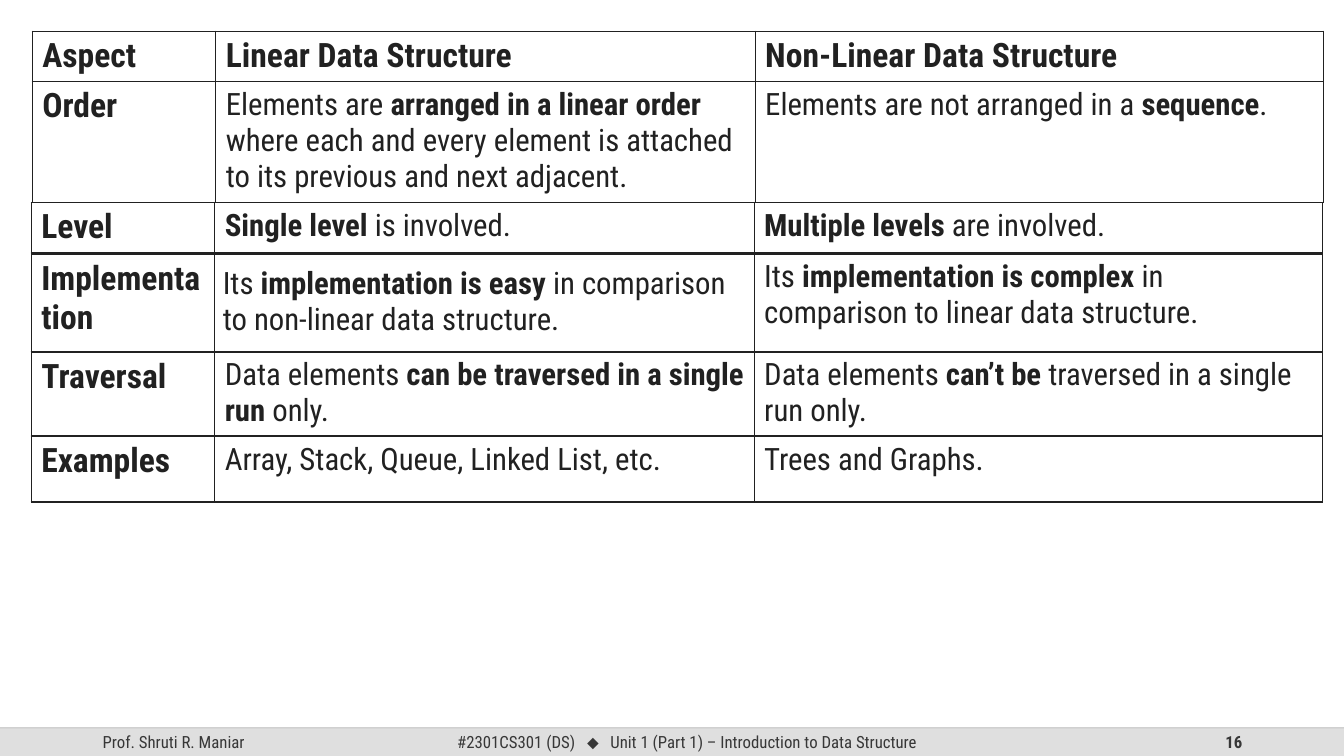
from dataclasses import dataclass

from lxml import etree
from pptx import Presentation
from pptx.dml.color import RGBColor
from pptx.enum.shapes import MSO_CONNECTOR, MSO_SHAPE
from pptx.enum.text import MSO_ANCHOR, PP_ALIGN
from pptx.oxml import parse_xml
from pptx.oxml.ns import nsdecls, qn
from pptx.util import Inches, Pt

LINE = MSO_CONNECTOR.STRAIGHT
RECT = MSO_SHAPE.RECTANGLE
MIDDLE = MSO_ANCHOR.MIDDLE
LEFT, CENTER, RIGHT = PP_ALIGN.LEFT, PP_ALIGN.CENTER, PP_ALIGN.RIGHT


@dataclass(frozen=True)
class Theme:
    """Hold the colours, fonts and type sizes of the slide."""
    ink: str = "212121"
    muted: str = "373737"
    bar: str = "DFDFDF"
    rule: str = "BFBFBF"
    font: str = "Roboto Condensed"
    symbol: str = "Arial"
    head: int = 24
    body: int = 22
    foot: int = 12


THEME = Theme()
WIDTH, HEIGHT = 13.33, 7.5
COLS = [1.82, 5.35, 5.64]
TABLES = [
    (0.32, 0.31, [0.49, 1.18], [
        ["Aspect", "Linear Data Structure", "Non-Linear Data Structure"],
        ["Order",
         "Elements are *arranged in a linear order *where each and every "
         "element is attached to its previous and next adjacent.",
         "Elements are not arranged in a *sequence*."]]),
    (0.31, 2.01, [0.5], [
        ["Level", "*Single level *is involved.",
         "*Multiple levels *are involved."]]),
    (0.31, 2.52, [0.97], [
        ["Implementation",
         "Its *implementation is easy *in comparison to non-linear data "
         "structure.",
         "Its *implementation is complex *in comparison to linear data "
         "structure."]]),
    (0.31, 3.49, [0.83], [
        ["Traversal",
         "Data elements *can be traversed in a single run *only.",
         "Data elements *can’t be *traversed in a single run only."]]),
    (0.31, 4.33, [0.65], [
        ["Examples", "Array, Stack, Queue, Linked List, etc.",
         "Trees and Graphs."]]),
]
FOOT = [
    (0.92, 3, LEFT, False, ["Prof. Shruti R. Maniar"]),
    (4.42, 4.79, CENTER, False,
     ["#2301CS301 (DS)   ", "⬥",
      "   Unit 1 (Part 1) – Introduction to Data Structure"]),
    (9.42, 3, RIGHT, True, ["16"]),
]
INSETS = {"margin_left": Inches(0.08), "margin_right": Inches(0.08),
          "margin_top": Inches(0.12), "margin_bottom": Inches(0.12)}


def apply(item, form):
    """Set each named value on the item."""
    for key, value in form.items():
        setattr(item, key, value)


def add_run(para, text, size, color, bold=False, font=THEME.font):
    """Add one formatted run to a paragraph."""
    run = para.add_run()
    run.text = text
    apply(run.font, {"size": Pt(size), "bold": bold, "name": font})
    run.font.color.rgb = RGBColor.from_string(color)


def add_edges(cell):
    """Draw the four borders of a cell and clear its fill."""
    props = cell._tc.get_or_add_tcPr()
    for spot, side in enumerate(("lnL", "lnR", "lnT", "lnB")):
        props.insert(spot, parse_xml(
            f'<a:{side} {nsdecls("a")} w="12700"><a:solidFill>'
            f'<a:srgbClr val="{THEME.ink}"/></a:solidFill></a:{side}>'))
    cell.fill.background()


def add_table(slide, left, top, rows, texts):
    """Place one block of the comparison at the given corner."""
    frame = slide.shapes.add_table(
        len(rows), len(COLS), Inches(left), Inches(top),
        Inches(sum(COLS)), Inches(sum(rows)))
    table = frame.table
    apply(table, {"first_row": False, "horz_banding": False})
    for col, width in zip(table.columns, COLS):
        col.width = Inches(width)
    for row, high, line in zip(table.rows, rows, texts):
        row.height = Inches(high)
        for spot, (cell, text) in enumerate(zip(row.cells, line)):
            head = spot == 0 or line[0] == "Aspect"
            size = THEME.head if head else THEME.body
            para = cell.text_frame.paragraphs[0]
            for turn, part in enumerate(text.split("*")):
                if part:
                    add_run(para, part, size, THEME.ink,
                            head or turn % 2 == 1)
            if line[0] == "Implementation" and spot == 1:
                apply(cell, INSETS)
            add_edges(cell)


def add_foot(slide, top, high):
    """Place the grey bar, its top rule and the footer texts."""
    bar = slide.shapes.add_shape(
        RECT, 0, Inches(top), Inches(WIDTH), Inches(high))
    bar.shadow.inherit = False
    bar.fill.solid()
    bar.fill.fore_color.rgb = RGBColor.from_string(THEME.bar)
    bar.line.fill.background()
    for left, width, align, bold, parts in FOOT:
        box = slide.shapes.add_textbox(
            Inches(left), Inches(top), Inches(width), Inches(high))
        apply(box.text_frame, {"word_wrap": True, "vertical_anchor": MIDDLE})
        para = box.text_frame.paragraphs[0]
        para.alignment = align
        for part in parts:
            font = THEME.symbol if part == "⬥" else THEME.font
            add_run(para, part, THEME.foot, THEME.muted, bold, font)
    rule = slide.shapes.add_connector(
        LINE, 0, Inches(top), Inches(WIDTH), Inches(top))
    rule.line.width = Pt(1)
    rule.line.color.rgb = RGBColor.from_string(THEME.rule)
    props = rule._element.spPr
    tint = props.find(".//" + qn("a:srgbClr"))
    etree.SubElement(tint, qn("a:alpha")).set("val", "70000")
    etree.SubElement(props, qn("a:effectLst"))


def main():
    """Build the slide and save it."""
    deck = Presentation()
    apply(deck, {"slide_width": Inches(WIDTH), "slide_height": Inches(HEIGHT)})
    slide = deck.slides.add_slide(deck.slide_layouts[6])
    add_foot(slide, 7.22, 0.28)
    for block in TABLES:
        add_table(slide, *block)
    deck.save("out.pptx")


if __name__ == "__main__":
    main()
